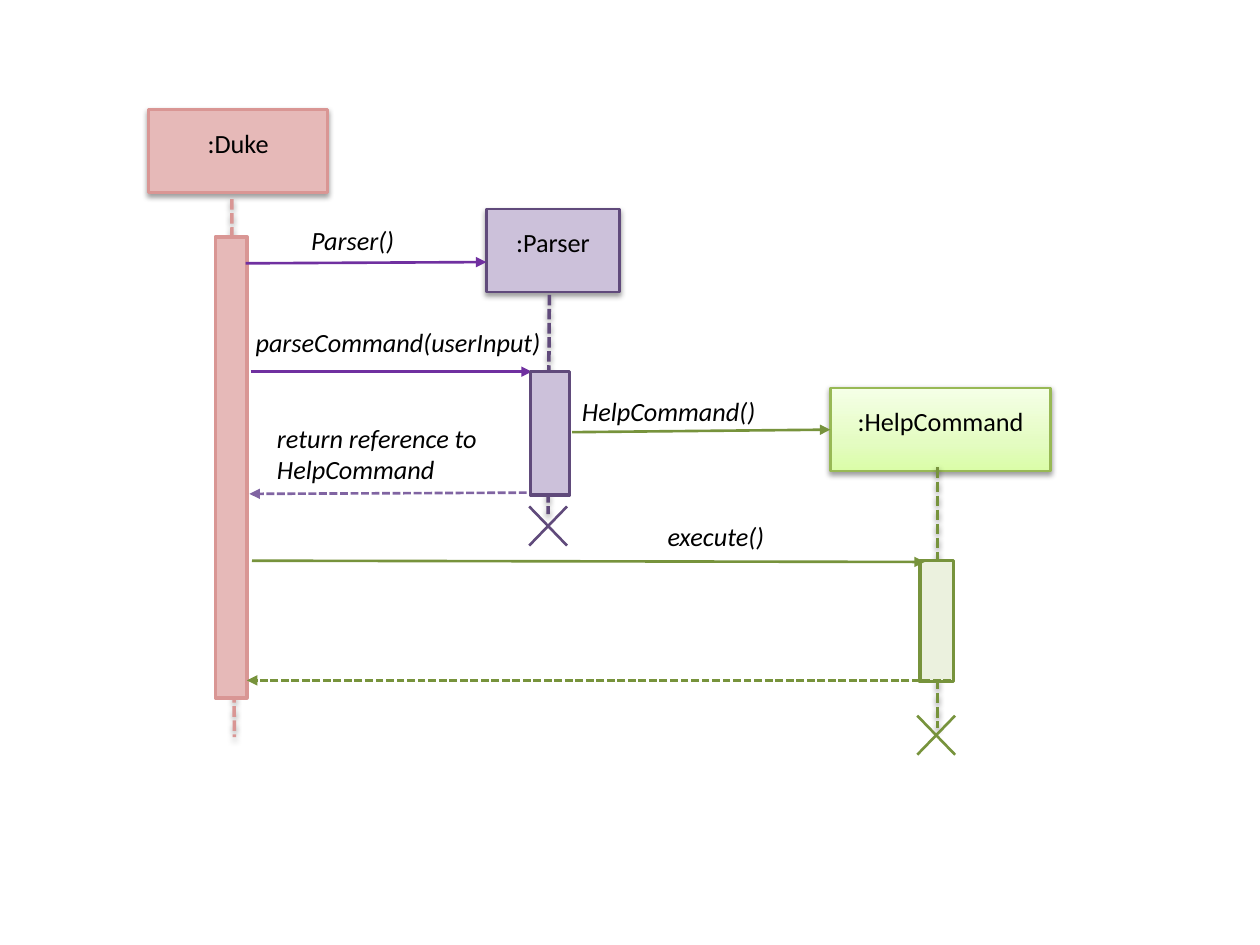
from lxml import etree
from pptx import Presentation
from pptx.dml.color import RGBColor
from pptx.enum.dml import MSO_LINE
from pptx.enum.shapes import MSO_CONNECTOR, MSO_SHAPE
from pptx.enum.text import MSO_ANCHOR, PP_ALIGN
from pptx.oxml import parse_xml
from pptx.oxml.ns import nsdecls, qn
from pptx.util import Inches, Pt

BLACK = RGBColor(0x00, 0x00, 0x00)
ROSE = RGBColor(0xE6, 0xB9, 0xB8)
ROSE_EDGE = RGBColor(0xD9, 0x96, 0x94)
LILAC = RGBColor(0xCC, 0xC1, 0xDA)
LILAC_EDGE = RGBColor(0x60, 0x4A, 0x7B)
PURPLE = RGBColor(0x70, 0x30, 0xA0)
VIOLET = RGBColor(0x80, 0x64, 0xA2)
GREEN = RGBColor(0x77, 0x93, 0x3C)
PALE_GREEN = RGBColor(0xEB, 0xF1, 0xDE)
LIME_EDGE = RGBColor(0x98, 0xB9, 0x55)
LIME_STOPS = [
    (0, RGBColor(0xDA, 0xFD, 0xA7)),
    (35, RGBColor(0xE4, 0xFC, 0xC2)),
    (100, RGBColor(0xF5, 0xFF, 0xE7)),
]


class SequenceDiagram:
    font = "Calibri"
    size = Pt(15)
    thin = Pt(1.5)
    thick = Pt(2)

    def __init__(self, slide):
        self.shapes = slide.shapes

    def effects(self, shape, shadow):
        properties = shape._element.spPr
        for old in properties.findall(qn("a:effectLst")):
            properties.remove(old)
        effect_list = etree.SubElement(properties, qn("a:effectLst"))
        if shadow:
            effect_list.append(parse_xml(
                f'<a:outerShdw {nsdecls("a")} blurRad="40000" dist="20000" '
                'dir="5400000" rotWithShape="0"><a:srgbClr val="000000">'
                '<a:alpha val="38000"/></a:srgbClr></a:outerShdw>'))

    def set_text(self, shape, text, align, italic, top):
        frame = shape.text_frame
        frame.word_wrap = True
        frame.vertical_anchor = MSO_ANCHOR.TOP
        frame.margin_left = frame.margin_right = Inches(0.1)
        frame.margin_top = Inches(top)
        frame.margin_bottom = Inches(0.05)
        paragraph = frame.paragraphs[0]
        paragraph.alignment = align
        run = paragraph.add_run()
        run.text = text
        run.font.name = self.font
        run.font.size = self.size
        run.font.italic = italic
        run.font.color.rgb = BLACK

    def rectangle(self, x, y, width, height, fill, edge, weight, shadow=False):
        shape = self.shapes.add_shape(
            MSO_SHAPE.RECTANGLE, Inches(x), Inches(y), Inches(width), Inches(height))
        if isinstance(fill, list):
            shape.fill.gradient()
            gradient = shape._element.spPr.find(qn("a:gradFill"))
            stops = "".join(
                f'<a:gs pos="{position * 1000}"><a:srgbClr val="{color}"/></a:gs>'
                for position, color in fill)
            gradient.getparent().replace(gradient, parse_xml(
                f'<a:gradFill {nsdecls("a")} rotWithShape="1"><a:gsLst>{stops}</a:gsLst>'
                '<a:lin ang="16200000" scaled="0"/></a:gradFill>'))
        else:
            shape.fill.solid()
            shape.fill.fore_color.rgb = fill
        shape.line.color.rgb = edge
        shape.line.width = weight
        self.effects(shape, shadow)
        return shape

    def participant(self, name, x, y, width, fill, edge):
        box = self.rectangle(x, y, width, 0.66, fill, edge, self.thin, shadow=True)
        self.set_text(box, name, PP_ALIGN.CENTER, False, top=0.14)

    def activation(self, x, y, width, height, fill, edge):
        self.rectangle(x, y, width, height, fill, edge, self.thick)

    def line(self, start, end, color, weight=thin, dashed=False, shadow=False):
        connector = self.shapes.add_connector(
            MSO_CONNECTOR.STRAIGHT, *(Inches(value) for value in (*start, *end)))
        connector.line.color.rgb = color
        connector.line.width = weight
        if dashed:
            connector.line.dash_style = MSO_LINE.SQUARE_DOT
        self.effects(connector, shadow)
        return connector

    def lifeline(self, start, end, color):
        self.line(start, end, color, self.thick, dashed=True, shadow=True)

    def message(self, start, end, color, dashed=False):
        arrow = self.line(start, end, color, dashed=dashed)
        outline = arrow._element.spPr.find(qn("a:ln"))
        etree.SubElement(outline, qn("a:tailEnd"), type="triangle")

    def destruction(self, x, y, color, width=0.3, height=0.31):
        self.line((x + width, y + height), (x, y), color)
        self.line((x + width, y), (x, y + height), color)

    def label(self, text, x, y, width, height=0.35):
        box = self.shapes.add_textbox(Inches(x), Inches(y), Inches(width), Inches(height))
        self.set_text(box, text, PP_ALIGN.LEFT, True, top=0.05)


prs = Presentation()
prs.slide_width = Inches(10)
prs.slide_height = Inches(7.5)
diagram = SequenceDiagram(prs.slides.add_slide(prs.slide_layouts[6]))

for participant in [
    (":Duke", 1.18, 0.87, 1.42, ROSE, ROSE_EDGE),
    (":Parser", 3.86, 1.66, 1.06, LILAC, LILAC_EDGE),
    (":HelpCommand", 6.59, 3.08, 1.75, LIME_STOPS, LIME_EDGE),
]:
    diagram.participant(*participant)

for lifeline in [
    ((1.84, 1.58), (1.86, 5.85), ROSE_EDGE),
    ((4.36, 2.34), (4.35, 4.08), LILAC_EDGE),
    ((7.44, 3.71), (7.44, 5.78), GREEN),
]:
    diagram.lifeline(*lifeline)

diagram.activation(1.71, 1.88, 0.25, 3.66, ROSE, ROSE_EDGE)
diagram.message((1.99, 2.95), (4.22, 2.95), PURPLE)
diagram.activation(4.21, 2.95, 0.31, 0.98, LILAC, LILAC_EDGE)
diagram.activation(7.3, 4.45, 0.27, 0.96, PALE_GREEN, GREEN)

for message in [
    ((1.95, 2.09), (3.86, 2.08), PURPLE),
    ((4.54, 3.43), (6.59, 3.41), GREEN),
    ((2, 4.45), (7.34, 4.46), GREEN),
    ((4.18, 3.91), (1.98, 3.92), VIOLET, True),
    ((7.55, 5.4), (1.96, 5.4), GREEN, True),
]:
    diagram.message(*message)

diagram.destruction(4.2, 4.02, LILAC_EDGE)
diagram.destruction(7.28, 5.68, GREEN)

for label in [
    ("Parser()", 2.37, 1.73, 1.29),
    ("parseCommand(userInput)", 1.93, 2.54, 2.73),
    ("HelpCommand()", 4.52, 3.09, 2.28),
    ("return reference to HelpCommand", 2.1, 3.3, 1.87, 0.61),
    ("execute()", 5.2, 4.08, 0.97),
]:
    diagram.label(*label)

prs.save("out.pptx")
